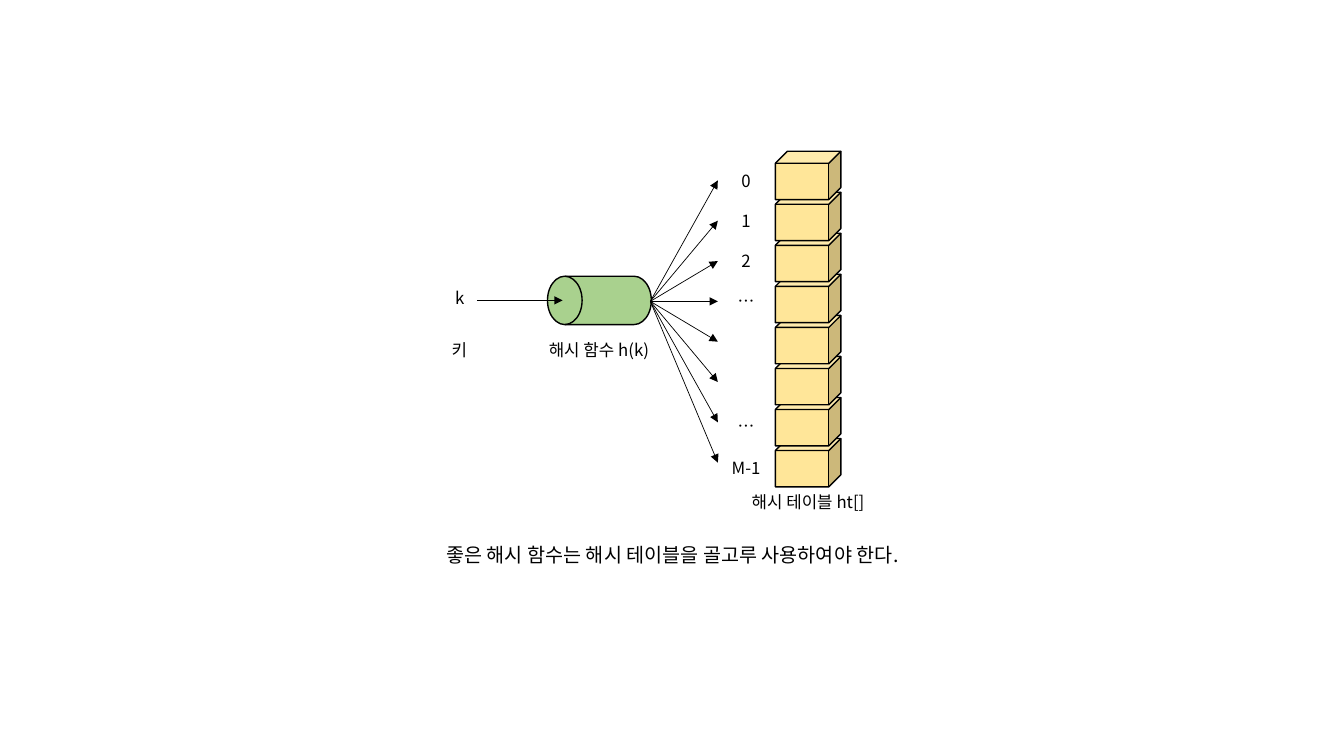
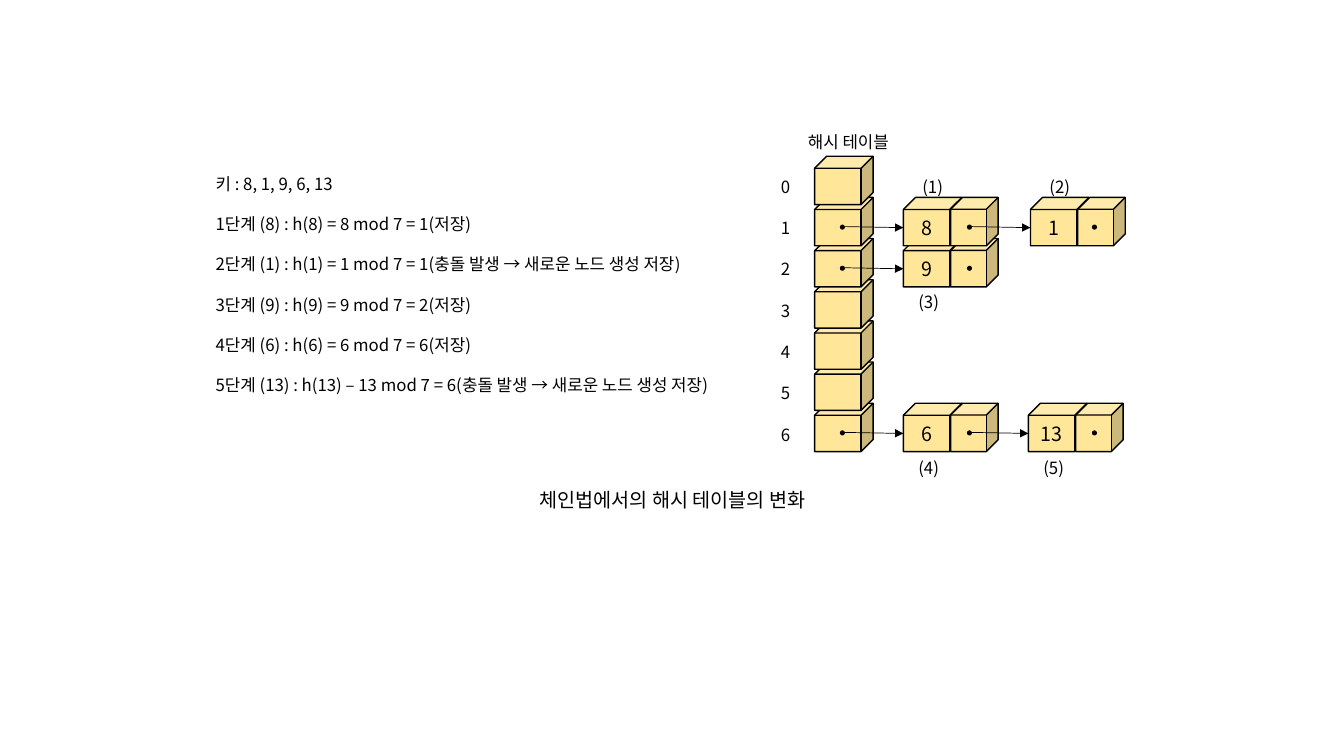
from dataclasses import dataclass

from pptx import Presentation
from pptx.dml.color import RGBColor
from pptx.enum.shapes import MSO_CONNECTOR, MSO_SHAPE
from pptx.enum.text import MSO_ANCHOR, MSO_AUTO_SIZE, PP_ALIGN
from pptx.oxml.ns import qn
from pptx.oxml.xmlchemy import OxmlElement
from pptx.shapes.autoshape import Shape
from pptx.slide import Slide
from pptx.text.text import TextFrame
from pptx.util import Inches, Pt

CUBE, DRUM, OVAL = MSO_SHAPE.CUBE, MSO_SHAPE.FLOWCHART_DIRECT_ACCESS_STORAGE, MSO_SHAPE.OVAL
STRAIGHT = MSO_CONNECTOR.STRAIGHT
LEFT, CENTER = PP_ALIGN.LEFT, PP_ALIGN.CENTER
TOP, MIDDLE = MSO_ANCHOR.TOP, MSO_ANCHOR.MIDDLE
GROW = MSO_AUTO_SIZE.SHAPE_TO_FIT_TEXT


@dataclass(frozen=True)
class Theme:
    ink: RGBColor = RGBColor(0x00, 0x00, 0x00)
    bucket: RGBColor = RGBColor(0xFF, 0xE6, 0x99)
    function: RGBColor = RGBColor(0xA9, 0xD1, 0x8E)
    font: str = "Noto Sans CJK KR"
    label: float = 12
    heading: float = 14
    outline: float = 1
    arrow: float = 0.5
    leading: float = 1.2


@dataclass(frozen=True)
class Label:
    text: str
    left: float
    top: float
    width: float = 0.58


@dataclass(frozen=True)
class Node:
    key: str
    left: float


@dataclass(frozen=True)
class Column:
    left: float
    width: float
    first_top: float
    last_top: float
    rows: int

    def top(self, row: int) -> float:
        return self.first_top + row * (self.last_top - self.first_top) / (self.rows - 1)


THEME = Theme()
BUCKET_HEIGHT = 0.48
KEY_WIDTH, LINK_WIDTH, LINK_OFFSET = 0.58, 0.47, 0.47
DOT_SIZE, DOT_DROP = 0.05, 0.27
DOT_LEFTS = (8.33, 9.59, 10.83)

HASH_TABLE = Column(7.69, 0.65, 1.5, 4.35, 8)
CHAIN_TABLE = Column(8.08, 0.58, 1.55, 4.0, 7)
CHAINS = {
    6: (Node("6", 8.96), Node("13", 10.2)),
    2: (Node("9", 8.96),),
    1: (Node("8", 8.96), Node("1", 10.22)),
}
INDEX_LEFT, INDEX_TOP, INDEX_STEP = 7.5, 1.7, 0.41

FUNCTION_LABELS = (
    Label("0", 7.11, 1.64),
    Label("1", 7.11, 2.04),
    Label("2", 7.11, 2.44),
    Label("…", 7.11, 2.84),
    Label("…", 7.11, 4.08),
    Label("M-1", 7.11, 4.49),
    Label("k", 4.17, 2.81, 0.78),
    Label("키", 3.83, 3.32, 1.45),
    Label("해시 함수 h(k)", 5.17, 3.32, 1.54),
    Label("해시 테이블 ht[]", 7.0, 4.83, 2.03),
)
CHAIN_LABELS = (
    Label("해시 테이블", 7.73, 1.26, 1.37),
    Label("(1)", 8.96, 1.7),
    Label("(2)", 10.22, 1.7),
    Label("(3)", 8.92, 2.85),
    Label("(4)", 8.92, 4.49),
    Label("(5)", 10.16, 4.49),
)
STEPS = (
    "키 : 8, 1, 9, 6, 13",
    "1단계 (8) : h(8) = 8 mod 7 = 1(저장)",
    "2단계 (1) : h(1) = 1 mod 7 = 1(충돌 발생 → 새로운 노드 생성 저장)",
    "3단계 (9) : h(9) = 9 mod 7 = 2(저장)",
    "4단계 (6) : h(6) = 6 mod 7 = 6(저장)",
    "5단계 (13) : h(13) – 13 mod 7 = 6(충돌 발생 → 새로운 노드 생성 저장)",
)


def write(frame: TextFrame, lines: tuple[str, ...], size: float,
          align: PP_ALIGN = CENTER, gap: float = 0) -> None:
    for number, line in enumerate(lines):
        paragraph = frame.paragraphs[0] if number == 0 else frame.add_paragraph()
        layout = {
            "alignment": align,
            "line_spacing": Pt(size * THEME.leading),
            "space_after": Pt(gap if number < len(lines) - 1 else 0),
        }
        for name, value in layout.items():
            setattr(paragraph, name, value)
        run = paragraph.add_run()
        run.text = line
        for name, value in {"size": Pt(size), "name": THEME.font}.items():
            setattr(run.font, name, value)
        run.font.color.rgb = THEME.ink
        east_asian = OxmlElement("a:ea")
        east_asian.set("typeface", THEME.font)
        run.font._element.find(qn("a:latin")).addnext(east_asian)


def add_text(slide: Slide, lines: tuple[str, ...], left: float, top: float, width: float,
             height: float = 0.3, size: float = THEME.label,
             align: PP_ALIGN = CENTER, gap: float = 0) -> None:
    frame = slide.shapes.add_textbox(
        Inches(left), Inches(top), Inches(width), Inches(height)).text_frame
    settings = {"word_wrap": True, "auto_size": GROW, "vertical_anchor": TOP}
    for name, value in settings.items():
        setattr(frame, name, value)
    write(frame, lines, size, align, gap)


def add_labels(slide: Slide, labels: tuple[Label, ...]) -> None:
    for label in labels:
        add_text(slide, (label.text,), label.left, label.top, label.width)


def add_caption(slide: Slide, text: str, top: float) -> None:
    add_text(slide, (text,), 3.48, top, 6.38, 0.34, THEME.heading)


def add_solid(slide: Slide, preset: MSO_SHAPE, left: float, top: float, width: float,
              height: float, fill: RGBColor, outlined: bool = True) -> Shape:
    solid = slide.shapes.add_shape(
        preset, Inches(left), Inches(top), Inches(width), Inches(height))
    solid.shadow.inherit = False
    solid.fill.solid()
    solid.fill.fore_color.rgb = fill
    if outlined:
        solid.line.color.rgb = THEME.ink
        solid.line.width = Pt(THEME.outline)
    else:
        solid.line.fill.background()
    return solid


def add_bucket(slide: Slide, left: float, top: float, width: float, key: str = "") -> None:
    bucket = add_solid(slide, CUBE, left, top, width, BUCKET_HEIGHT, THEME.bucket)
    if key:
        bucket.text_frame.vertical_anchor = MIDDLE
        write(bucket.text_frame, (key,), THEME.heading)


def add_column(slide: Slide, column: Column) -> None:
    for row in reversed(range(column.rows)):
        add_bucket(slide, column.left, column.top(row), column.width)


def add_arrow(slide: Slide, start: tuple[float, float], end: tuple[float, float]) -> None:
    arrow = slide.shapes.add_connector(
        STRAIGHT, *(Inches(length) for length in (*start, *end)))
    arrow.line.color.rgb = THEME.ink
    arrow.line.width = Pt(THEME.arrow)
    head = OxmlElement("a:tailEnd")
    head.set("type", "triangle")
    arrow.line._get_or_add_ln().append(head)
    arrow._element.spPr.append(OxmlElement("a:effectLst"))


def add_chain(slide: Slide, top: float, nodes: tuple[Node, ...]) -> None:
    for node in nodes:
        add_bucket(slide, node.left, top, KEY_WIDTH, node.key)
        add_bucket(slide, node.left + LINK_OFFSET, top, LINK_WIDTH)
    dot_top = top + DOT_DROP
    for dot_left in DOT_LEFTS[:len(nodes) + 1]:
        add_solid(slide, OVAL, dot_left, dot_top, DOT_SIZE, DOT_SIZE, THEME.ink, False)
    for dot_left, node in zip(DOT_LEFTS, nodes):
        add_arrow(slide, (dot_left + DOT_SIZE, top + 0.29), (node.left, top + 0.3))


def build_hash_function(slide: Slide) -> None:
    add_column(slide, HASH_TABLE)
    drum = add_solid(slide, DRUM, 5.43, 2.74, 1.03, 0.48, THEME.function)
    drum.rotation = 180
    add_labels(slide, FUNCTION_LABELS)
    add_arrow(slide, (4.73, 2.98), (5.58, 2.98))
    for row in range(HASH_TABLE.rows):
        add_arrow(slide, (6.45, 2.99), (7.12, 1.79 + 0.4 * row))
    add_caption(slide, "좋은 해시 함수는 해시 테이블을 골고루 사용하여야 한다.", 5.34)


def build_chaining(slide: Slide) -> None:
    add_text(slide, STEPS, 2.04, 1.67, 5.46, 2.32, align=LEFT,
             gap=THEME.label * THEME.leading)
    add_column(slide, CHAIN_TABLE)
    for row, nodes in CHAINS.items():
        add_chain(slide, CHAIN_TABLE.top(row), nodes)
    add_labels(slide, tuple(
        Label(str(row), INDEX_LEFT, INDEX_TOP + INDEX_STEP * row)
        for row in range(CHAIN_TABLE.rows)))
    add_labels(slide, CHAIN_LABELS)
    add_caption(slide, "체인법에서의 해시 테이블의 변화", 4.79)


def main() -> None:
    deck = Presentation()
    deck.slide_width, deck.slide_height = Inches(13.33), Inches(7.5)
    blank = deck.slide_layouts[6]
    for build in (build_hash_function, build_chaining):
        build(deck.slides.add_slide(blank))
    deck.save("out.pptx")


main()
